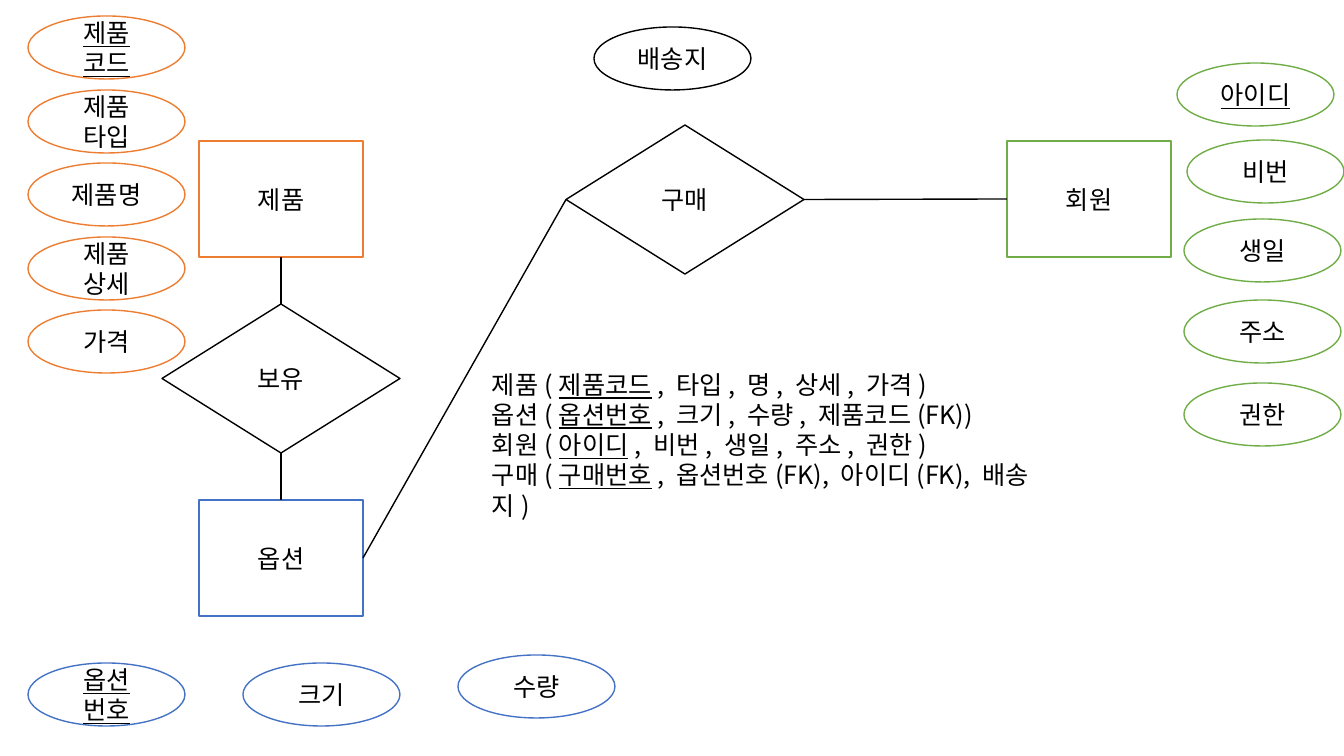
from lxml.etree import SubElement
from pptx import Presentation
from pptx.dml.color import RGBColor
from pptx.enum.shapes import MSO_CONNECTOR, MSO_SHAPE
from pptx.enum.text import MSO_ANCHOR, MSO_AUTO_SIZE, PP_ALIGN
from pptx.oxml.ns import qn
from pptx.util import Emu, Pt

SCALE = 914400 / 100.8
COLORS = {"product": "ED7D31", "option": "4472C4", "member": "70AD47",
          "black": "000000", "white": "FFFFFF"}
FONT = "Noto Sans CJK KR"
TOP, LEFT, BOTTOM, RIGHT = range(4)


def px(*values):
    return [Emu(round(v * SCALE)) for v in values]


def rgb(name):
    return RGBColor.from_string(COLORS[name])


class Diagram:
    font = {"name": FONT, "size": Pt(18)}
    sizes = {MSO_SHAPE.RECTANGLE: (164, 116), MSO_SHAPE.DIAMOND: (238, 149),
             MSO_SHAPE.OVAL: (157, 63)}

    def __init__(self, slide):
        self.s = slide

    def fill_text(self, tf, lines, align):
        for i, line in enumerate(lines):
            p = tf.paragraphs[0] if i == 0 else tf.add_paragraph()
            p.alignment = align
            for j, part in enumerate(line.split("_")):
                if not part:
                    continue
                r = p.add_run()
                r.text = part
                for key, value in {**self.font, "underline": j % 2 == 1}.items():
                    setattr(r.font, key, value)
                r.font.color.rgb = rgb("black")
                SubElement(r.font._element, qn("a:ea"), typeface=FONT)

    def outline(self, line, color):
        line.color.rgb = rgb(color)
        line.width = Pt(1)

    def node(self, kind, x, y, text, color="black"):
        sp = self.s.shapes.add_shape(kind, *px(x, y, *self.sizes[kind]))
        sp.shadow.inherit = False
        sp.fill.solid()
        sp.fill.fore_color.rgb = rgb("white")
        self.outline(sp.line, color)
        tf = sp.text_frame
        for key, value in {"word_wrap": True, "vertical_anchor": MSO_ANCHOR.MIDDLE}.items():
            setattr(tf, key, value)
        self.fill_text(tf, text.split("\n"), PP_ALIGN.CENTER)
        return sp

    def entity(self, *args):
        return self.node(MSO_SHAPE.RECTANGLE, *args)

    def relation(self, *args):
        return self.node(MSO_SHAPE.DIAMOND, *args)

    def attribute(self, *args):
        return self.node(MSO_SHAPE.OVAL, *args)

    def link(self, start, start_site, end, end_site):
        c = self.s.shapes.add_connector(MSO_CONNECTOR.STRAIGHT, 0, 0, 0, 0)
        c.begin_connect(start, start_site)
        c.end_connect(end, end_site)
        self.outline(c.line, "black")
        SubElement(c._element.spPr, qn("a:effectLst"))

    def text(self, x, y, w, h, lines):
        tf = self.s.shapes.add_textbox(*px(x, y, w, h)).text_frame
        for key, value in {"word_wrap": True, "auto_size": MSO_AUTO_SIZE.SHAPE_TO_FIT_TEXT}.items():
            setattr(tf, key, value)
        self.fill_text(tf, lines, PP_ALIGN.LEFT)


prs = Presentation()
prs.slide_width, prs.slide_height = px(1344, 756)
d = Diagram(prs.slides.add_slide(prs.slide_layouts[6]))

product = d.entity(199, 141, "제품", "product")
option = d.entity(199, 500, "옵션", "option")
member = d.entity(1007, 141, "회원", "member")
owns = d.relation(162, 304, "보유")
buys = d.relation(566, 125, "구매")

for ends in ((option, RIGHT, buys, LEFT), (buys, RIGHT, member, LEFT),
             (product, BOTTOM, owns, TOP), (owns, BOTTOM, option, TOP)):
    d.link(*ends)

for i, (y, text) in enumerate([(663, "_옵션_\n_번호_"), (663, "크기"), (655, "수량")]):
    d.attribute(28 + 215 * i, y, text, "option")

for i, text in enumerate(["_제품_\n_코드_", "제품\n타입", "제품명", "제품\n상세", "가격"]):
    d.attribute(28, round(16 + 73.6 * i), text, "product")

for x, y, text in [(1177, 63, "_아이디_"), (1187, 140, "비번"), (1184, 219, "생일"),
                   (1184, 300, "주소"), (1184, 383, "권한")]:
    d.attribute(x, y, text, "member")

d.attribute(594, 27, "배송지")

d.text(482, 364, 586, 132, [
    "제품(_제품코드_, 타입, 명, 상세, 가격)",
    "옵션(_옵션번호_, 크기, 수량, 제품코드(FK))",
    "회원(_아이디_, 비번, 생일, 주소, 권한)",
    "구매(_구매번호_, 옵션번호(FK), 아이디(FK), 배송지)",
])

prs.save("out.pptx")
